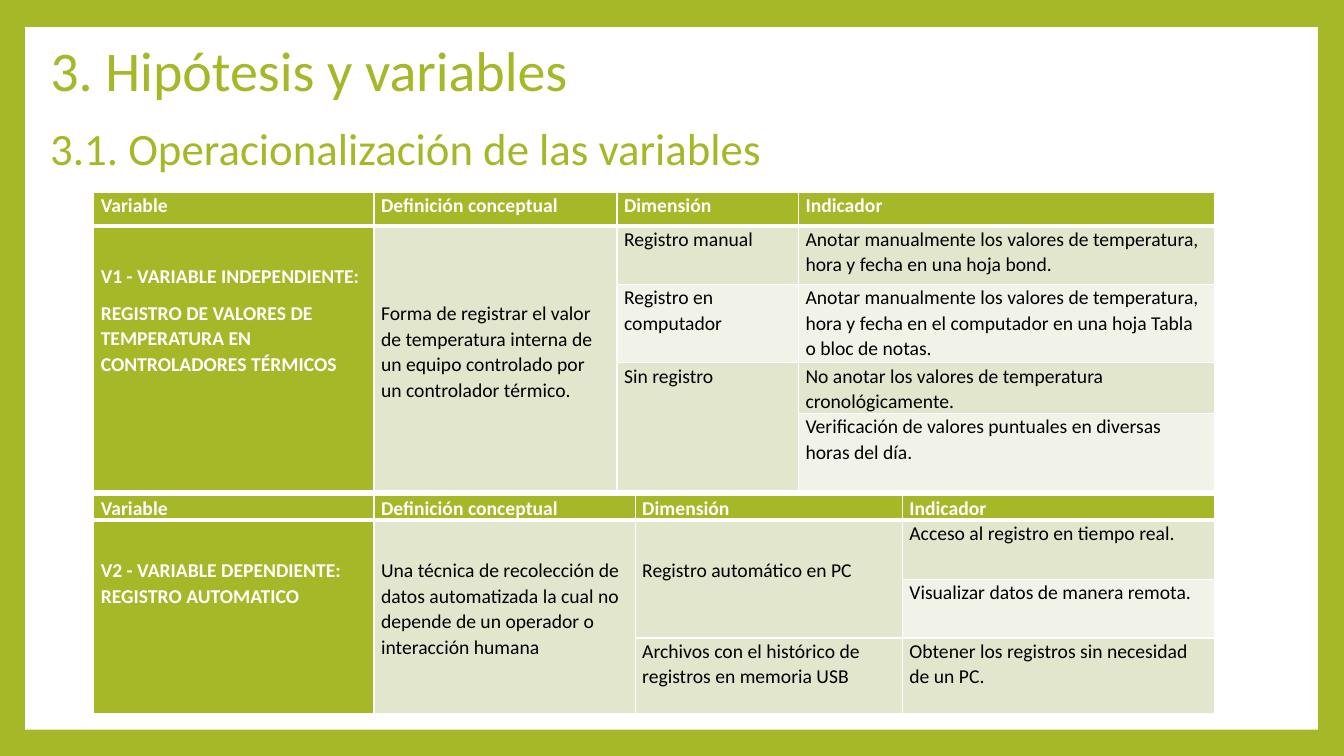
from dataclasses import dataclass

from lxml import etree
from pptx import Presentation
from pptx.dml.color import RGBColor
from pptx.enum.shapes import MSO_SHAPE
from pptx.enum.text import MSO_ANCHOR
from pptx.oxml.ns import qn
from pptx.util import Inches, Pt

RECTANGLE = MSO_SHAPE.RECTANGLE
BOTTOM = MSO_ANCHOR.BOTTOM
GREEN, WHITE, BLACK = "A6B727", "FFFFFF", "000000"
BAND, LIGHT = "E1E6CD", "F1F3E8"
FONT = "Calibri"
TABLE_LEFT = 0.93
SIDE_MARGIN = 0.07
BLANK_LINE = 0.37  # height of one skipped line above cell text
HEADINGS = ["Variable", "Definición conceptual", "Dimensión", "Indicador"]


@dataclass
class Heading:
    text: str
    top: float
    width: float
    height: float
    size: int


@dataclass
class Entry:
    row: int
    col: int
    paragraphs: list[str]
    fill: str = BAND
    row_span: int = 1
    skipped_lines: int = 0


@dataclass
class VariableTable:
    top: float
    col_widths: list[float]
    row_heights: list[float]
    entries: list[Entry]


TITLES = [
    Heading("3.1. Operacionalización de las variables", 1.2, 8, 0.59, 32),
    Heading("3. Hipótesis y variables", 0.37, 7.75, 0.71, 40),
]

INDEPENDENT = VariableTable(
    1.91, [2.78, 2.41, 1.8, 4.13], [0.33, 0.58, 0.78, 0.38, 0.77],
    [
        Entry(1, 0, ["V1 - VARIABLE INDEPENDIENTE:",
                     "REGISTRO DE VALORES DE TEMPERATURA EN CONTROLADORES TÉRMICOS"],
              GREEN, row_span=4, skipped_lines=1),
        Entry(1, 1, ["Forma de registrar el valor de temperatura interna de un equipo "
                     "controlado por un controlador térmico."],
              row_span=4, skipped_lines=2),
        Entry(1, 2, ["Registro manual"]),
        Entry(1, 3, ["Anotar manualmente los valores de temperatura, hora y fecha "
                     "en una hoja bond."]),
        Entry(2, 2, ["Registro en computador"], LIGHT),
        Entry(2, 3, ["Anotar manualmente los valores de temperatura, hora y fecha en el "
                     "computador en una hoja Tabla o bloc de notas."], LIGHT),
        Entry(3, 2, ["Sin registro"], row_span=2),
        Entry(3, 3, ["No anotar los valores de temperatura cronológicamente."]),
        Entry(4, 3, ["Verificación de valores puntuales en diversas horas del día."], LIGHT),
    ],
)

DEPENDENT = VariableTable(
    4.91, [2.78, 2.59, 2.65, 3.1], [0.19, 0.59, 0.58, 0.75],
    [
        Entry(1, 0, ["V2 - VARIABLE DEPENDIENTE: REGISTRO AUTOMATICO"],
              GREEN, row_span=3, skipped_lines=1),
        Entry(1, 1, ["Una técnica de recolección de datos automatizada la cual no depende "
                     "de un operador o interacción humana"], row_span=3, skipped_lines=1),
        Entry(1, 2, ["Registro automático en PC"], row_span=2, skipped_lines=1),
        Entry(1, 3, ["Acceso al registro en tiempo real."]),
        Entry(2, 3, ["Visualizar datos de manera remota."], LIGHT),
        Entry(3, 2, ["Archivos con el histórico de registros en memoria USB"]),
        Entry(3, 3, ["Obtener los registros sin necesidad de un PC."]),
    ],
)


def set_fill(fill, color: str) -> None:
    fill.solid()
    fill.fore_color.rgb = RGBColor.from_string(color)


def write_text(tf, paragraphs: list[str], *, size: float, color: str, bold: bool = False,
               line_spacing: float = 1.07, space_after: float = 0) -> None:
    tf.word_wrap = True
    for i, text in enumerate(paragraphs):
        p = tf.add_paragraph() if i else tf.paragraphs[0]
        p.line_spacing = line_spacing
        p.space_after = Pt(space_after)
        r = p.add_run()
        r.text = text
        r.font.name = FONT
        r.font.size = Pt(size)
        r.font.bold = bold
        set_fill(r.font.fill, color)


def set_borders(cell, top: float, bottom: float) -> None:
    tc_pr = cell._tc.get_or_add_tcPr()
    for side, width in (("L", 1), ("R", 1), ("T", top), ("B", bottom)):
        ln = etree.SubElement(tc_pr, qn(f"a:ln{side}"), w=str(Pt(width)))
        solid = etree.SubElement(ln, qn("a:solidFill"))
        etree.SubElement(solid, qn("a:srgbClr"), val=WHITE)


def add_heading(s, heading: Heading) -> None:
    box = s.shapes.add_textbox(Inches(0.4), Inches(heading.top),
                               Inches(heading.width), Inches(heading.height))
    tf = box.text_frame
    tf.vertical_anchor = BOTTOM
    write_text(tf, [heading.text], size=heading.size, color=GREEN, line_spacing=0.9)


def add_variable_table(s, data: VariableTable) -> None:
    frame = s.shapes.add_table(
        len(data.row_heights), len(data.col_widths), Inches(TABLE_LEFT), Inches(data.top),
        Inches(sum(data.col_widths)), Inches(sum(data.row_heights)))
    table = frame.table
    table.horz_banding = False
    for column, width in zip(table.columns, data.col_widths):
        column.width = Inches(width)
    for i, (row, height) in enumerate(zip(table.rows, data.row_heights)):
        row.height = Inches(height)
        for cell in row.cells:
            set_borders(cell, top=3 if i == 1 else 1, bottom=3 if i == 0 else 1)
            cell.margin_left = cell.margin_right = Inches(SIDE_MARGIN)
            cell.margin_top = cell.margin_bottom = 0

    header = [Entry(0, col, [text], GREEN) for col, text in enumerate(HEADINGS)]
    for entry in header + data.entries:
        cell = table.cell(entry.row, entry.col)
        last_row = entry.row + entry.row_span - 1
        if entry.row_span > 1:
            cell.merge(table.cell(last_row, entry.col))
        for row in range(entry.row, last_row + 1):
            set_fill(table.cell(row, entry.col).fill, entry.fill)
        cell.margin_top = Inches(BLANK_LINE * entry.skipped_lines)
        on_green = entry.fill == GREEN
        write_text(cell.text_frame, entry.paragraphs, size=14, bold=on_green,
                   color=WHITE if on_green else BLACK, space_after=8)


def main() -> None:
    prs = Presentation()
    prs.slide_width, prs.slide_height = Inches(13.33), Inches(7.5)
    s = prs.slides.add_slide(prs.slide_layouts[6])

    # Green frame around a white page
    set_fill(s.background.fill, GREEN)
    page = s.shapes.add_shape(RECTANGLE, Inches(0.25), Inches(0.27),
                              Inches(12.82), Inches(6.97))
    page.shadow.inherit = False
    set_fill(page.fill, WHITE)
    page.line.fill.background()

    # Headings
    for heading in TITLES:
        add_heading(s, heading)

    # Variable tables
    for data in (INDEPENDENT, DEPENDENT):
        add_variable_table(s, data)

    prs.save("out.pptx")


if __name__ == "__main__":
    main()
